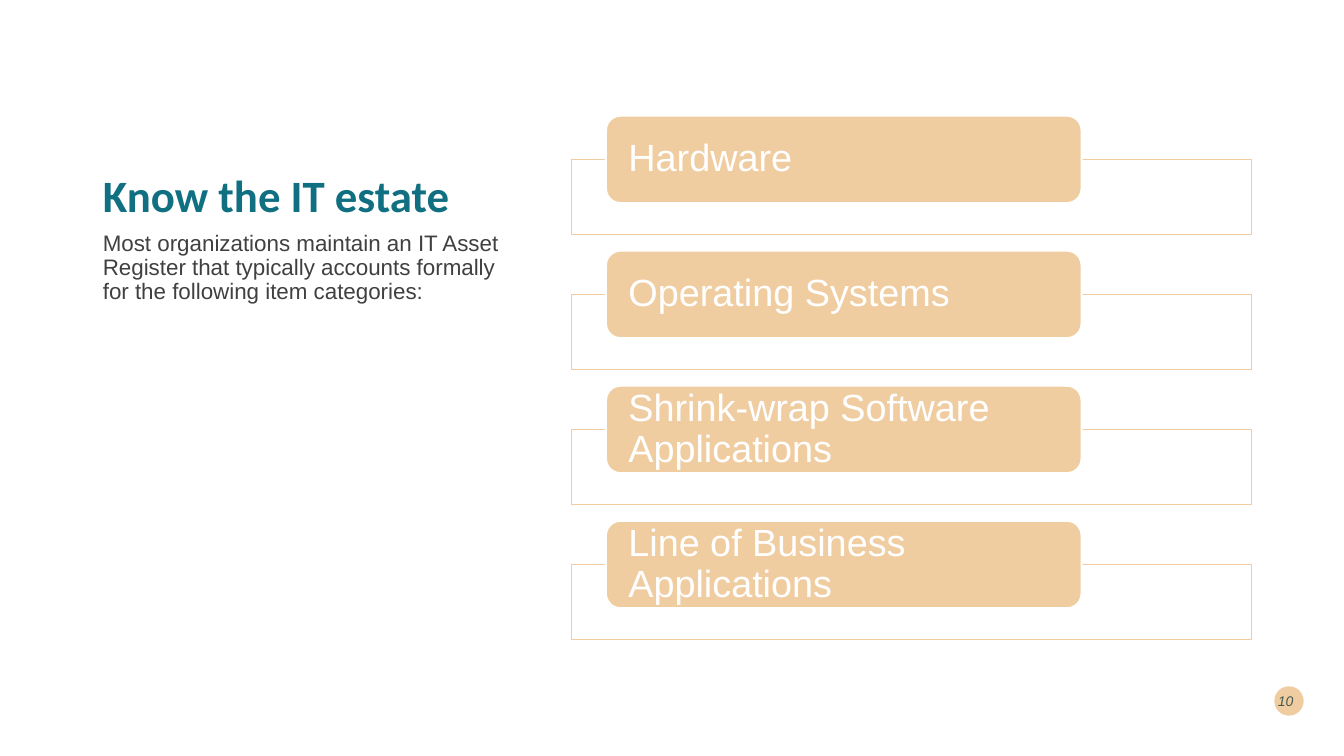
from dataclasses import dataclass

from lxml.etree import SubElement
from pptx import Presentation
from pptx.dml.color import RGBColor
from pptx.dml.fill import FillFormat
from pptx.enum.shapes import MSO_SHAPE
from pptx.enum.text import MSO_ANCHOR, MSO_AUTO_SIZE, PP_ALIGN
from pptx.oxml.ns import qn
from pptx.shapes.autoshape import Shape
from pptx.slide import Slide
from pptx.text.text import TextFrame
from pptx.util import Pt

COLORS = {
    "sand": "F0CDA1",
    "teal": "107082",
    "gray": "404040",
    "ink": "00292E",
    "white": "FFFFFF",
}
CATEGORY_PITCH = 96.45


@dataclass
class Box:
    left: float
    top: float
    width: float
    height: float

    def lengths(self) -> tuple[Pt, Pt, Pt, Pt]:
        return Pt(self.left), Pt(self.top), Pt(self.width), Pt(self.height)

    def moved_down(self, distance: float) -> "Box":
        return Box(self.left, self.top + distance, self.width, self.height)


@dataclass
class TextStyle:
    font: str
    size: float
    color: str
    bold: bool = False
    italic: bool = False
    opacity: int = 100
    align: PP_ALIGN = PP_ALIGN.LEFT
    anchor: MSO_ANCHOR = MSO_ANCHOR.MIDDLE
    line_spacing: float = 0.9


CATEGORY_FRAME = Box(408.1, 113.9, 486, 53.5)
CATEGORY_LABEL = Box(432.8, 82.6, 339.8, 62.5)
TITLE_STYLE = TextStyle("Calibri", 32, "teal", bold=True, anchor=MSO_ANCHOR.BOTTOM)
INTRO_STYLE = TextStyle("Arial", 16, "gray", anchor=MSO_ANCHOR.TOP)
LABEL_STYLE = TextStyle("Arial", 27, "white")
NUMBER_STYLE = TextStyle("Arial", 10, "ink", italic=True, opacity=70,
                         align=PP_ALIGN.RIGHT, line_spacing=1)


def paint(fill: FillFormat, color: str, opacity: int = 100) -> None:
    fill.solid()
    fill.fore_color.rgb = RGBColor.from_string(COLORS[color])
    if opacity < 100:
        # The colour element sits inside the fill's parent XML
        element = fill._xPr.find(qn("a:solidFill"))[0]
        SubElement(element, qn("a:alpha")).set("val", str(opacity * 1000))


def write(frame: TextFrame, text: str, style: TextStyle) -> None:
    frame.text = text
    frame.word_wrap = True
    frame.auto_size = MSO_AUTO_SIZE.NONE
    frame.vertical_anchor = style.anchor
    paragraph = frame.paragraphs[0]
    paragraph.alignment = style.align
    paragraph.line_spacing = style.line_spacing
    font = paragraph.runs[0].font
    font.name, font.size = style.font, Pt(style.size)
    font.bold, font.italic = style.bold, style.italic
    paint(font.fill, style.color, style.opacity)


def fill_placeholder(holder: Shape, box: Box, text: str, style: TextStyle) -> None:
    holder.left, holder.top, holder.width, holder.height = box.lengths()
    write(holder.text_frame, text, style)


def add_panel(slide: Slide, kind: MSO_SHAPE, box: Box, fill: str, opacity: int = 100,
              line: str = "", line_width: float = 1) -> Shape:
    panel = slide.shapes.add_shape(kind, *box.lengths())
    panel.shadow.inherit = False
    paint(panel.fill, fill, opacity)
    if line:
        paint(panel.line.fill, line)
        panel.line.width = Pt(line_width)
    else:
        panel.line.fill.background()
    return panel


def add_category(slide: Slide, name: str, offset: float) -> None:
    add_panel(slide, MSO_SHAPE.RECTANGLE, CATEGORY_FRAME.moved_down(offset),
              "white", 90, "sand")
    label = add_panel(slide, MSO_SHAPE.ROUNDED_RECTANGLE,
                      CATEGORY_LABEL.moved_down(offset),
                      "sand", line="white", line_width=1.5)
    frame = label.text_frame
    frame.margin_left = frame.margin_right = Pt(13)
    frame.margin_top = frame.margin_bottom = Pt(0)
    write(frame, name, LABEL_STYLE)


def main() -> None:
    deck = Presentation()
    deck.slide_width, deck.slide_height = Pt(960), Pt(540)
    slide = deck.slides.add_slide(deck.slide_layouts[1])

    # Title and introduction
    fill_placeholder(slide.shapes.title, Box(66.25, 36, 309.6, 126),
                     "Know the IT estate", TITLE_STYLE)
    intro = slide.placeholders[1]
    fill_placeholder(
        intro, Box(66.25, 162, 309.6, 300),
        "Most organizations maintain an IT Asset Register that typically "
        "accounts formally for the following item categories:", INTRO_STYLE)
    paragraph = intro.text_frame.paragraphs[0]
    paragraph.space_before = Pt(10)
    properties = paragraph._p.get_or_add_pPr()
    properties.set("marL", "0")
    properties.set("indent", "0")
    SubElement(properties, qn("a:buNone"))

    # Item categories
    categories = ["Hardware", "Operating Systems",
                  "Shrink-wrap Software Applications",
                  "Line of Business Applications"]
    for row, name in enumerate(categories):
        add_category(slide, name, row * CATEGORY_PITCH)

    # Page number on its disc
    add_panel(slide, MSO_SHAPE.OVAL, Box(910.2, 490.2, 21, 21), "sand")
    page_number = slide.shapes.add_textbox(*Box(902.9, 486.2, 28.1, 28.8).lengths())
    write(page_number.text_frame, "10", NUMBER_STYLE)

    deck.save("out.pptx")


if __name__ == "__main__":
    main()
